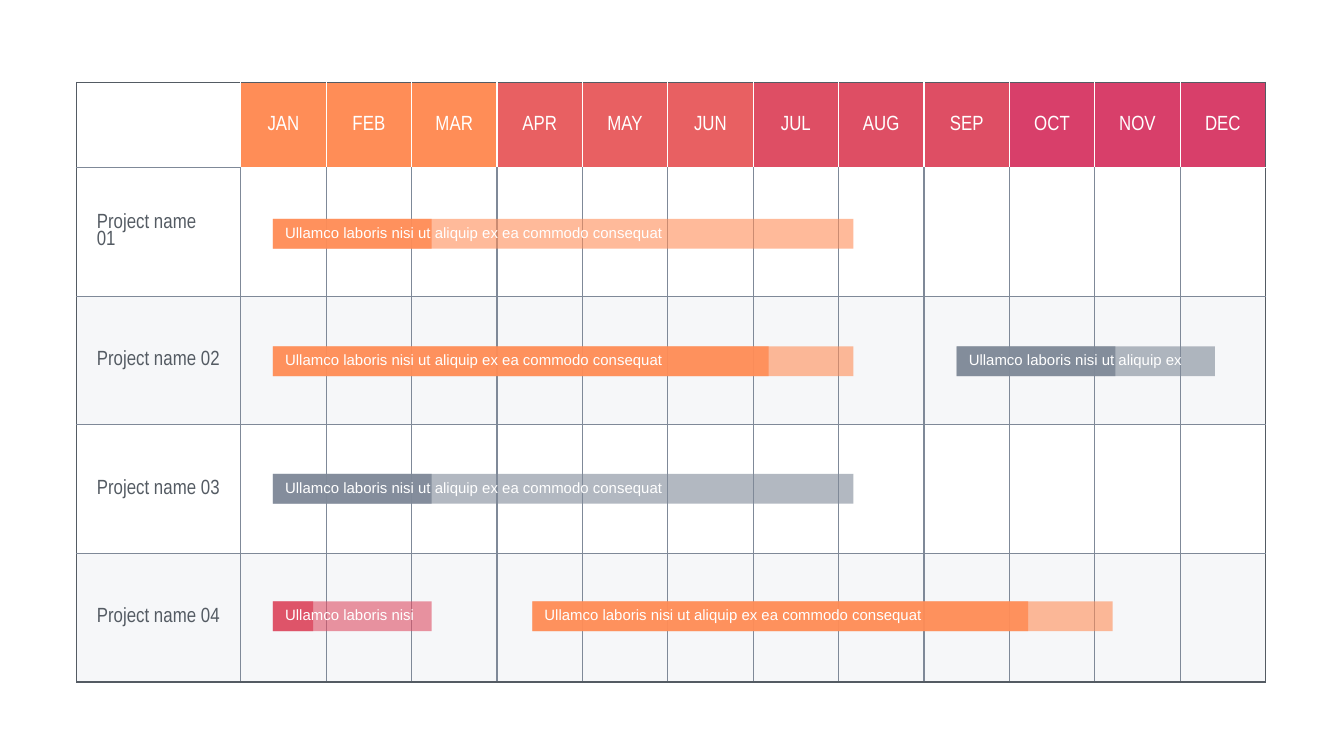
from dataclasses import dataclass

from lxml.etree import SubElement
from pptx import Presentation
from pptx.dml.color import RGBColor
from pptx.enum.shapes import MSO_SHAPE
from pptx.enum.text import MSO_ANCHOR, PP_ALIGN
from pptx.oxml.ns import qn
from pptx.util import Cm, Pt


@dataclass(frozen=True)
class Theme:
    white: str = "FFFFFF"
    ink: str = "545B63"
    slate: str = "7F8998"
    band: str = "EEF0F4"
    orange: str = "FF8D57"
    coral: str = "E86062"
    red: str = "DE4E64"
    pink: str = "D83F6A"
    table_font: str = "Arial Narrow"
    bar_font: str = "Arial"
    table_size: float = 11
    bar_size: float = 8
    border: float = 0.75


THEME = Theme()
MONTHS = "JAN FEB MAR APR MAY JUN JUL AUG SEP OCT NOV DEC".split()
QUARTER_COLORS = [THEME.orange, THEME.coral, THEME.red, THEME.pink]
PROJECTS = [
    ["Project name", "01"],
    ["Project name 02"],
    ["Project name 03"],
    ["Project name 04"],
]
TABLE_LEFT, TABLE_TOP, TABLE_WIDTH = 1.45, 1.56, 22.47
NAME_WIDTH, HEADER_HEIGHT, ROW_HEIGHT = 3.1, 1.61, 2.43
BAR_TOP, BAR_PITCH, BAR_HEIGHT = 4.14, 2.41, 0.56
LABEL_INSET, LABEL_MAX_WIDTH = 0.13, 7.9
PHRASE = "Ullamco laboris nisi ut aliquip ex ea commodo consequat"
BARS = [
    (0, 5.16, 10.97, 3, THEME.orange, PHRASE),
    (3, 5.16, 3, 0.76, THEME.red, "Ullamco laboris nisi"),
    (1, 5.16, 10.97, 9.37, THEME.orange, PHRASE),
    (2, 5.16, 10.97, 3, THEME.slate, PHRASE),
    (3, 10.06, 10.97, 9.37, THEME.orange, PHRASE),
    (1, 18.08, 4.88, 3, THEME.slate, "Ullamco laboris nisi ut aliquip ex"),
]


def apply_format(target, values):
    for name, value in values.items():
        setattr(target, name, value)


def margins(left):
    return {
        "margin_left": Cm(left),
        "margin_right": Cm(0.1),
        "margin_top": Cm(0.05),
        "margin_bottom": Cm(0.05),
    }


def fill_solid(fill, properties, color, opacity=100):
    fill.solid()
    fill.fore_color.rgb = RGBColor.from_string(color)
    if opacity < 100:
        color_element = properties.find(qn("a:solidFill"))[0]
        SubElement(color_element, qn("a:alpha"), val=str(opacity * 1000))


class GanttSlide:
    def __init__(self, slide, theme):
        self.slide = slide
        self.theme = theme

    def add_lines(self, text_frame, lines, font, size, color, layout):
        for index, line in enumerate(lines):
            paragraph = text_frame.paragraphs[0] if index == 0 else text_frame.add_paragraph()
            paragraph.text = line
            apply_format(paragraph, layout)
            apply_format(paragraph.font, {"name": font, "size": Pt(size), "bold": False})
            paragraph.font.color.rgb = RGBColor.from_string(color)

    def border_colors(self, row, column):
        theme = self.theme
        last_row, last_column = len(PROJECTS), len(MONTHS)
        is_header, is_name = row == 0, column == 0
        side = theme.white if is_header else theme.slate
        return {
            "L": theme.ink if is_name else side,
            "R": theme.ink if column == last_column else side,
            "T": theme.ink if is_header else theme.white if row == 1 and not is_name else theme.slate,
            "B": theme.ink if row == last_row else theme.white if is_header and not is_name else theme.slate,
        }

    def borders(self, properties, colors):
        for side, color in colors.items():
            line = SubElement(properties, qn(f"a:ln{side}"), w=str(Pt(self.theme.border)))
            fill = SubElement(line, qn("a:solidFill"))
            SubElement(fill, qn("a:srgbClr"), val=color)

    def cell(self, cell, row, column):
        theme = self.theme
        properties = cell._tc.get_or_add_tcPr()
        self.borders(properties, self.border_colors(row, column))
        apply_format(cell, {"vertical_anchor": MSO_ANCHOR.MIDDLE, **margins(0.1 if row == 0 else 0.38)})
        if row == 0 and column > 0:
            fill_solid(cell.fill, properties, QUARTER_COLORS[(column - 1) // 3])
            self.add_lines(cell.text_frame, [MONTHS[column - 1]], theme.table_font,
                           theme.table_size, theme.white, {"alignment": PP_ALIGN.CENTER})
        elif row > 0 and row % 2 == 0:
            fill_solid(cell.fill, properties, theme.band, 50)
        else:
            cell.fill.background()
        if row > 0 and column == 0:
            self.add_lines(cell.text_frame, PROJECTS[row - 1], theme.table_font,
                           theme.table_size, theme.ink, {"line_spacing": 0.85})

    def calendar(self):
        rows, columns = len(PROJECTS) + 1, len(MONTHS) + 1
        height = HEADER_HEIGHT + ROW_HEIGHT * len(PROJECTS)
        table = self.slide.shapes.add_table(
            rows, columns, Cm(TABLE_LEFT), Cm(TABLE_TOP), Cm(TABLE_WIDTH), Cm(height)
        ).table
        apply_format(table, {"first_row": False, "horz_banding": False})
        month_width = (TABLE_WIDTH - NAME_WIDTH) / len(MONTHS)
        for index, column in enumerate(table.columns):
            column.width = Cm(month_width if index else NAME_WIDTH)
        for index, row in enumerate(table.rows):
            row.height = Cm(ROW_HEIGHT if index else HEADER_HEIGHT)
            for column_index, cell in enumerate(row.cells):
                self.cell(cell, index, column_index)

    def bar(self, project, left, length, done, color, label):
        theme = self.theme
        top = BAR_TOP + project * BAR_PITCH
        group = self.slide.shapes.add_group_shape()
        for width, opacity in ((length, 60), (done, 90)):
            shape = group.shapes.add_shape(
                MSO_SHAPE.RECTANGLE, Cm(left), Cm(top), Cm(width), Cm(BAR_HEIGHT))
            shape.shadow.inherit = False
            shape.line.fill.background()
            fill_solid(shape.fill, shape.element.spPr, color, opacity)
        label_width = min(LABEL_MAX_WIDTH, length - LABEL_INSET)
        text_frame = group.shapes.add_textbox(
            Cm(left + LABEL_INSET), Cm(top + 0.03), Cm(label_width), Cm(0.46)
        ).text_frame
        apply_format(text_frame, {"word_wrap": True, **margins(0.1)})
        self.add_lines(text_frame, [label], theme.bar_font, theme.bar_size, theme.white, {})


def main():
    presentation = Presentation()
    apply_format(presentation, {"slide_width": Cm(25.4), "slide_height": Cm(14.29)})
    slide = presentation.slides.add_slide(presentation.slide_layouts[6])
    gantt = GanttSlide(slide, THEME)
    gantt.calendar()
    for bar in BARS:
        gantt.bar(*bar)
    presentation.save("out.pptx")


if __name__ == "__main__":
    main()
